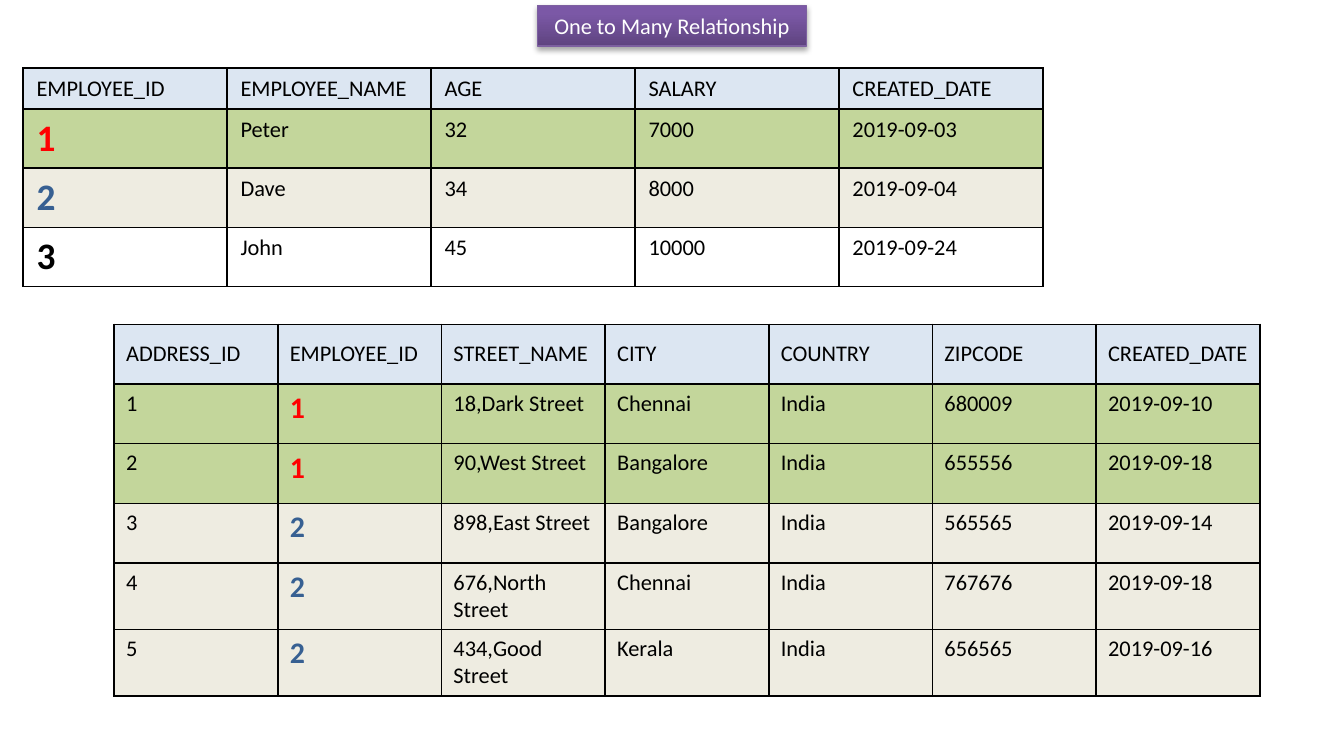
"""Build a slide showing a one-to-many relationship between two tables."""
from pptx import Presentation
from pptx.dml.color import RGBColor
from pptx.enum.text import MSO_ANCHOR, PP_ALIGN
from pptx.oxml import parse_xml
from pptx.oxml.ns import nsdecls
from pptx.util import Pt

TITLE = "One to Many Relationship"
EMPLOYEES = [
    ("EMPLOYEE_ID", "EMPLOYEE_NAME", "AGE", "SALARY", "CREATED_DATE"),
    ("1", "Peter", "32", "7000", "2019-09-03"),
    ("2", "Dave", "34", "8000", "2019-09-04"),
    ("3", "John", "45", "10000", "2019-09-24"),
]
ADDRESSES = [
    ("ADDRESS_ID", "EMPLOYEE_ID", "STREET_NAME", "CITY", "COUNTRY", "ZIPCODE", "CREATED_DATE"),
    ("1", "1", "18,Dark Street", "Chennai", "India", "680009", "2019-09-10"),
    ("2", "1", "90,West Street", "Bangalore", "India", "655556", "2019-09-18"),
    ("3", "2", "898,East Street", "Bangalore", "India", "565565", "2019-09-14"),
    ("4", "2", "676,North Street", "Chennai", "India", "767676", "2019-09-18"),
    ("5", "2", "434,Good Street", "Kerala", "India", "656565", "2019-09-16"),
]
TABLES = [
    dict(rows=EMPLOYEES, left=12.4, top=36.6, col_w=109.3, heights=(20, 20, 20, 20),
         inset=(7.2, 3.6), key_size=20),
    dict(rows=ADDRESSES, left=61.2, top=173.8, col_w=87.7, heights=(32, 32, 32, 32, 35, 35),
         inset=(6.4, 3.2), key_size=16),
]
THEME = dict(
    font="Calibri", size=12, text="000000", border="000000", header="DCE6F2",
    title_text="FFFFFF", title_line="7D60A0",
    title_stops=((0, "5F4480"), (80, "7B58A6"), (100, "7C57A8")),
    key_text={"1": "FF0000", "2": "376092", "3": "000000"},
    key_fill={"1": "C3D69B", "2": "EEECE1", "3": "FFFFFF"},
)


def set_font(p, size, color, bold=False):
    p.font.name = THEME["font"]
    p.font.size = Pt(size)
    p.font.bold = bold
    p.font.color.rgb = RGBColor.from_string(color)


def add_title(slide):
    sp = slide.shapes.title
    sp.left, sp.top, sp.width, sp.height = Pt(288), Pt(2.9), Pt(144), Pt(21.8)
    sp.line.color.rgb = RGBColor.from_string(THEME["title_line"])
    sp.line.width = Pt(0.75)
    stops = "".join(f'<a:gs pos="{pos * 1000}"><a:srgbClr val="{color}"/></a:gs>'
                    for pos, color in THEME["title_stops"])
    sp.line._get_or_add_ln().addprevious(parse_xml(
        f'<a:gradFill {nsdecls("a")} rotWithShape="1"><a:gsLst>{stops}</a:gsLst>'
        '<a:lin ang="16200000" scaled="0"/></a:gradFill>'))
    sp._element.spPr.append(parse_xml(
        f'<a:effectLst {nsdecls("a")}><a:outerShdw blurRad="{Pt(3.1)}" dist="{Pt(1.8)}" '
        'dir="5400000" rotWithShape="0"><a:srgbClr val="000000"><a:alpha val="35000"/>'
        '</a:srgbClr></a:outerShdw></a:effectLst>'))
    tf = sp.text_frame
    tf.text = TITLE
    tf.word_wrap = True
    tf.vertical_anchor = MSO_ANCHOR.MIDDLE
    tf.margin_left = tf.margin_right = Pt(7.2)
    tf.margin_top = tf.margin_bottom = Pt(3.6)
    p = tf.paragraphs[0]
    p.alignment = PP_ALIGN.CENTER
    set_font(p, THEME["size"], THEME["title_text"])


def add_borders(cell):
    tcPr = cell._tc.get_or_add_tcPr()
    for side in "LRTB":
        tcPr.append(parse_xml(
            f'<a:ln{side} {nsdecls("a")} w="{Pt(1)}"><a:solidFill>'
            f'<a:srgbClr val="{THEME["border"]}"/></a:solidFill></a:ln{side}>'))


def add_data_table(slide, rows, left, top, col_w, heights, inset, key_size):
    n_cols = len(rows[0])
    key_col = rows[0].index("EMPLOYEE_ID")
    table = slide.shapes.add_table(len(rows), n_cols, Pt(left), Pt(top),
                                   Pt(col_w * n_cols), Pt(sum(heights))).table
    table.first_row = table.horz_banding = False
    for col in table.columns:
        col.width = Pt(col_w)
    for i, values in enumerate(rows):
        table.rows[i].height = Pt(heights[i])
        key = values[key_col]
        for j, value in enumerate(values):
            cell = table.cell(i, j)
            add_borders(cell)
            cell.margin_left = cell.margin_right = Pt(inset[0])
            cell.margin_top = cell.margin_bottom = Pt(inset[1])
            cell.vertical_anchor = MSO_ANCHOR.TOP if i else MSO_ANCHOR.MIDDLE
            cell.fill.solid()
            cell.fill.fore_color.rgb = RGBColor.from_string(
                THEME["key_fill"].get(key, THEME["header"]))
            cell.text = value
            p = cell.text_frame.paragraphs[0]
            if i and j == key_col:
                set_font(p, key_size, THEME["key_text"][key], bold=True)
            else:
                set_font(p, THEME["size"], THEME["text"])


def main():
    prs = Presentation()
    prs.slide_width, prs.slide_height = Pt(720), Pt(396)
    slide = prs.slides.add_slide(prs.slide_layouts.get_by_name("Title Only"))
    add_title(slide)
    for spec in TABLES:
        add_data_table(slide, **spec)
    prs.save("out.pptx")


if __name__ == "__main__":
    main()
